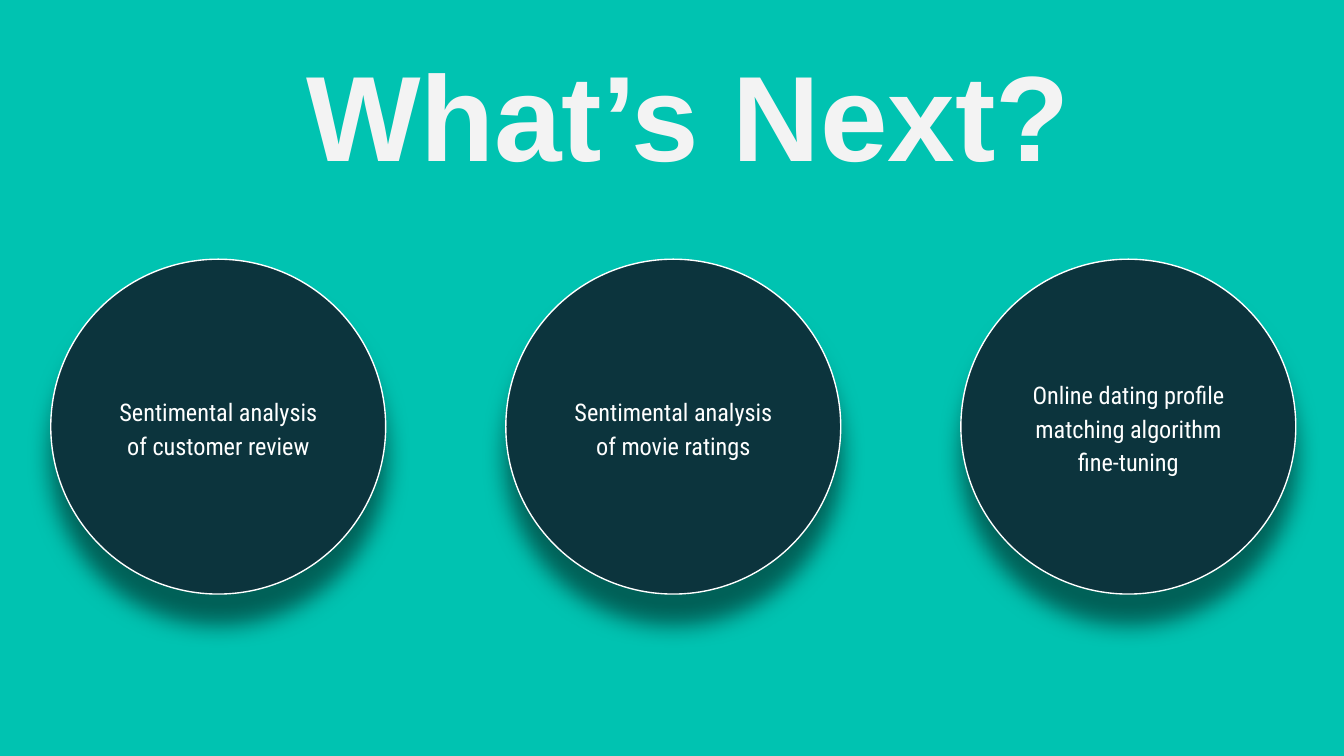
from lxml.etree import SubElement
from pptx import Presentation
from pptx.dml.color import RGBColor
from pptx.enum.shapes import MSO_SHAPE
from pptx.enum.text import MSO_ANCHOR, PP_ALIGN
from pptx.oxml.ns import qn
from pptx.util import Cm, Pt

TEAL = RGBColor(0x00, 0xC3, 0xB1)
NAVY = RGBColor(0x0C, 0x34, 0x3D)
WHITE = RGBColor(0xFF, 0xFF, 0xFF)
LIGHT_GRAY = RGBColor(0xF3, 0xF3, 0xF3)

IDEAS = [
    "Sentimental analysis of customer review",
    "Sentimental analysis of movie ratings",
    "Online dating profile matching algorithm fine-tuning",
]
FIRST_LEFT, CIRCLE_TOP, DIAMETER, PITCH = 0.96, 4.9, 6.33, 8.6


def write_text(shape, text, font_name, size, color, bold=False):
    frame = shape.text_frame
    frame.word_wrap = True
    frame.margin_left = frame.margin_right = Cm(0.25)
    frame.margin_top = frame.margin_bottom = Cm(0.25)
    paragraph = frame.paragraphs[0]
    paragraph.text = text
    paragraph.alignment = PP_ALIGN.CENTER
    paragraph.font.name = font_name
    paragraph.font.size = Pt(size)
    paragraph.font.bold = bold
    paragraph.font.color.rgb = color
    return frame


def add_soft_shadow(shape):
    """Black, half transparent, falling straight down."""
    shape.shadow.inherit = False
    effects = shape.element.spPr.find(qn("a:effectLst"))
    shadow = SubElement(
        effects, qn("a:outerShdw"), blurRad=str(Pt(12.4)), dist=str(Pt(15.8)),
        dir=str(90 * 60000), algn="bl", rotWithShape="0")
    color = SubElement(shadow, qn("a:srgbClr"), val="000000")
    SubElement(color, qn("a:alpha"), val="50000")


def add_title(slide, text):
    title = slide.shapes.add_textbox(Cm(2.9), Cm(0.51), Cm(20.22), Cm(3.3))
    write_text(title, text, "Arial", 65, LIGHT_GRAY, bold=True)


def add_idea_circle(slide, left, text):
    circle = slide.shapes.add_shape(
        MSO_SHAPE.OVAL, Cm(left), Cm(CIRCLE_TOP), Cm(DIAMETER), Cm(DIAMETER))
    circle.fill.solid()
    circle.fill.fore_color.rgb = NAVY
    circle.line.color.rgb = WHITE
    circle.line.width = Pt(0.75)
    add_soft_shadow(circle)
    frame = write_text(circle, text, "Roboto Condensed", 13, WHITE)
    frame.vertical_anchor = MSO_ANCHOR.MIDDLE
    frame.paragraphs[0].line_spacing = 1.15


def main():
    presentation = Presentation()
    presentation.slide_width = Cm(25.4)
    presentation.slide_height = Cm(14.29)
    slide = presentation.slides.add_slide(presentation.slide_layouts[6])

    # Background
    slide.background.fill.solid()
    slide.background.fill.fore_color.rgb = TEAL

    # Title and the row of ideas
    add_title(slide, "What’s Next?")
    for index, idea in enumerate(IDEAS):
        add_idea_circle(slide, FIRST_LEFT + index * PITCH, idea)

    presentation.save("out.pptx")


if __name__ == "__main__":
    main()
